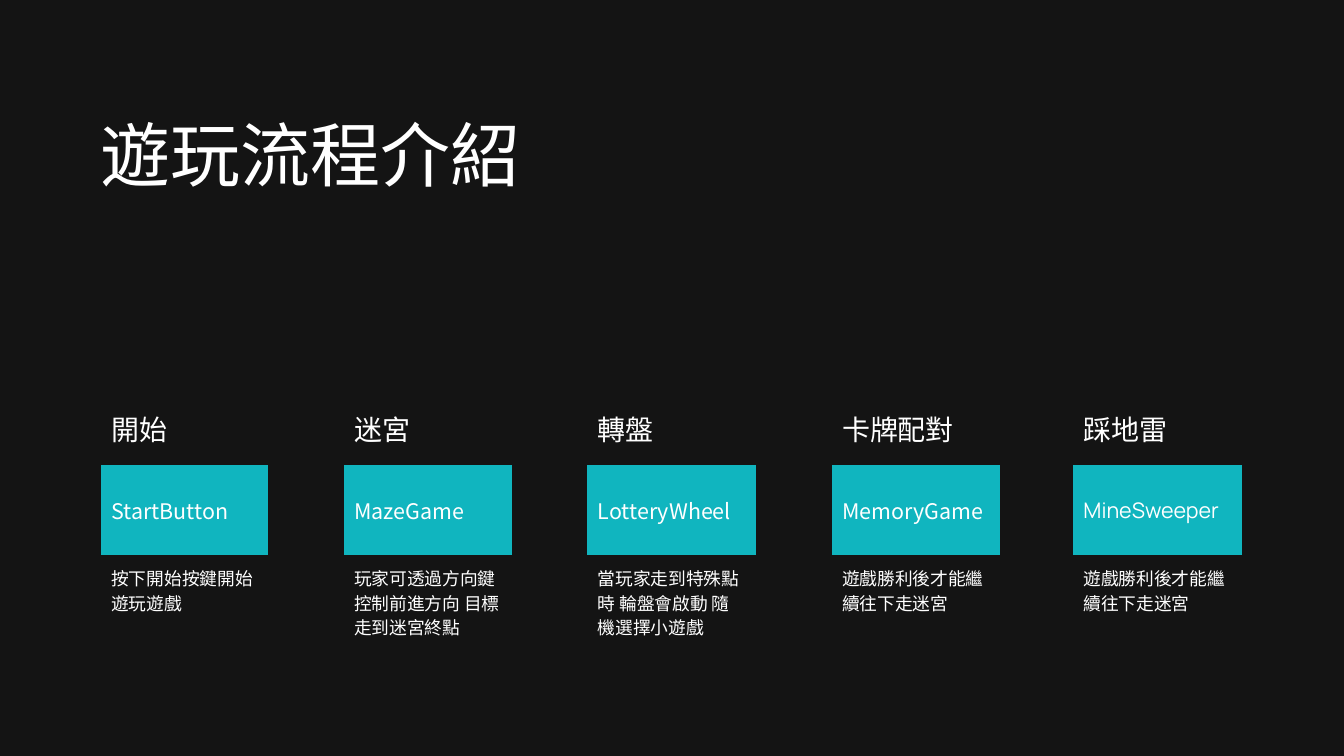
from pptx import Presentation
from pptx import util as u
from pptx.dml.color import RGBColor
from pptx.enum import text
from pptx.oxml import ns

PX = 9525
BLACK = RGBColor(0x14, 0x14, 0x14)
WHITE = RGBColor(0xFF, 0xFF, 0xFF)
TEAL = RGBColor(0x10, 0xB5, 0xBF)
NO_GRID = "{2D5ABB26-0587-4C30-8999-92F81FD0307C}"
INSET = 15

TITLE = "遊玩流程介紹"
STEPS = [
    ("開始", "StartButton", "按下開始按鍵開始遊玩遊戲"),
    ("迷宮", "MazeGame", "玩家可透過方向鍵控制前進方向 目標走到迷宮終點"),
    ("轉盤", "LotteryWheel", "當玩家走到特殊點時 輪盤會啟動 隨機選擇小遊戲"),
    ("卡牌配對", "MemoryGame", "遊戲勝利後才能繼續往下走迷宮"),
    ("踩地雷", "MineSweeper", "遊戲勝利後才能繼續往下走迷宮"),
]
COLUMNS = [239, 108, 241, 107, 241, 108, 241, 104, 242]
ROWS = [104, 128, 220]
ROW_STYLES = [
    ("Calibri", 30, 42, text.MSO_ANCHOR.MIDDLE),
    ("Noto Sans CJK SC", 23, 32.2, text.MSO_ANCHOR.MIDDLE),
    ("Calibri", 19, 26.6, text.MSO_ANCHOR.TOP),
]


def write(tf, words, font, size, leading):
    """Write one white line of text with fixed leading."""
    p = tf.paragraphs[0]
    p.alignment = text.PP_ALIGN.LEFT
    p.line_spacing = u.Pt(leading)
    r = p.add_run()
    r.text = words
    r.font.name, r.font.size = font, u.Pt(size)
    r.font.color.rgb = WHITE


def add_title(s, x, y, w, h):
    """Place the slide title in the given box."""
    sp = s.shapes.title
    sp.left, sp.top, sp.width, sp.height = (n * PX for n in (x, y, w, h))
    tf = sp.text_frame
    tf.margin_left = tf.margin_top = tf.margin_right = tf.margin_bottom = 0
    tf.vertical_anchor = text.MSO_ANCHOR.TOP
    tf.auto_size = text.MSO_AUTO_SIZE.NONE
    write(tf, TITLE, "Calibri", 75, 90)


def add_steps(s, x, y):
    """Place the table of game steps, with empty columns between them."""
    frame = s.shapes.add_table(len(ROWS), len(COLUMNS), x * PX, y * PX,
                               sum(COLUMNS) * PX, sum(ROWS) * PX)
    table = frame.table
    table.first_row = table.horz_banding = False
    table._tbl.tblPr.find(ns.qn("a:tableStyleId")).text = NO_GRID
    for column, width in zip(table.columns, COLUMNS):
        column.width = width * PX
    for row, height in zip(table.rows, ROWS):
        row.height = height * PX
    for cell in table.iter_cells():
        cell.fill.background()
    for i, step in enumerate(STEPS):
        for j, words in enumerate(step):
            cell = table.cell(j, 2 * i)
            font, size, leading, anchor = ROW_STYLES[j]
            if words == "MineSweeper":
                font = "Manrope"
            cell.margin_left = cell.margin_right = INSET * PX
            cell.margin_top = cell.margin_bottom = INSET * PX
            cell.vertical_anchor = anchor
            write(cell.text_frame, words, font, size, leading)
            if j == 1:
                cell.fill.solid()
                cell.fill.fore_color.rgb = TEAL


def main():
    """Build the slide and save it."""
    prs = Presentation()
    prs.slide_width, prs.slide_height = 1920 * PX, 1080 * PX
    s = prs.slides.add_slide(prs.slide_layouts[5])
    s.background.fill.solid()
    s.background.fill.fore_color.rgb = BLACK
    add_steps(s, 144, 561)
    add_title(s, 144, 160, 1631, 136)
    prs.save("out.pptx")


if __name__ == "__main__":
    main()
